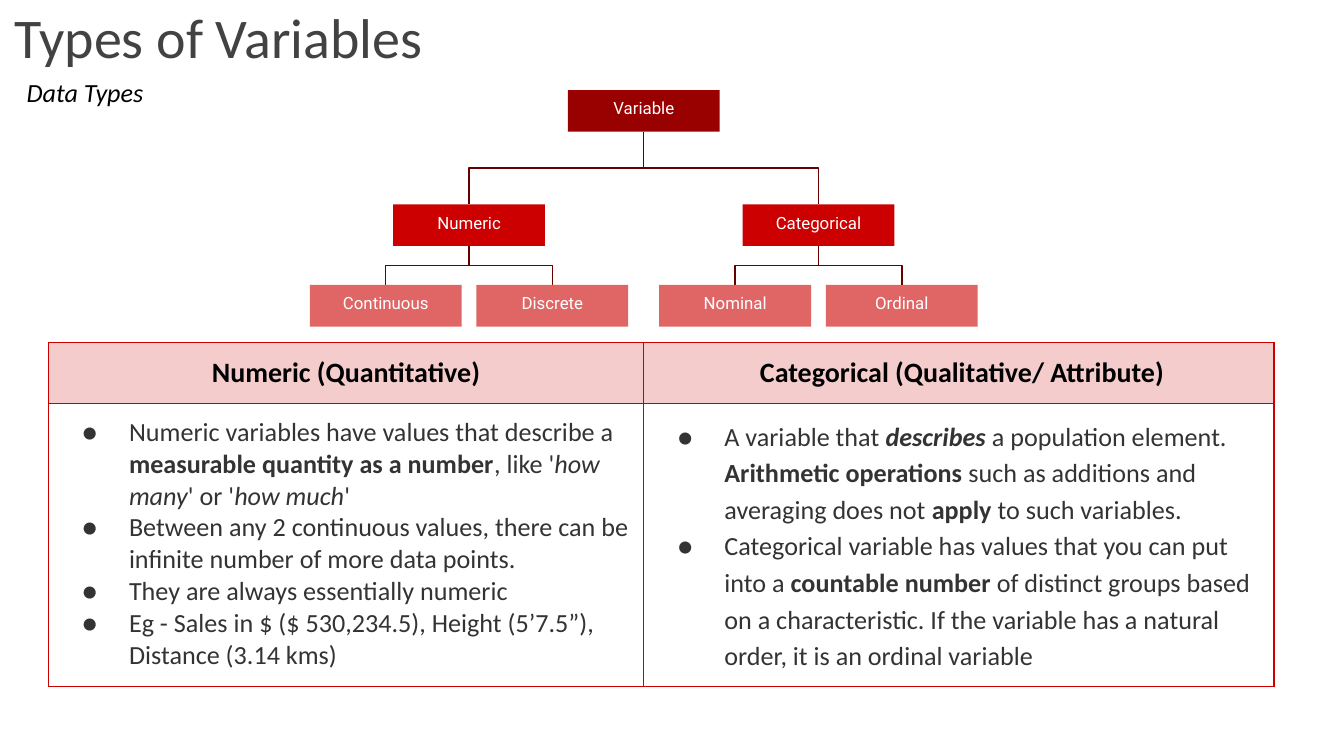
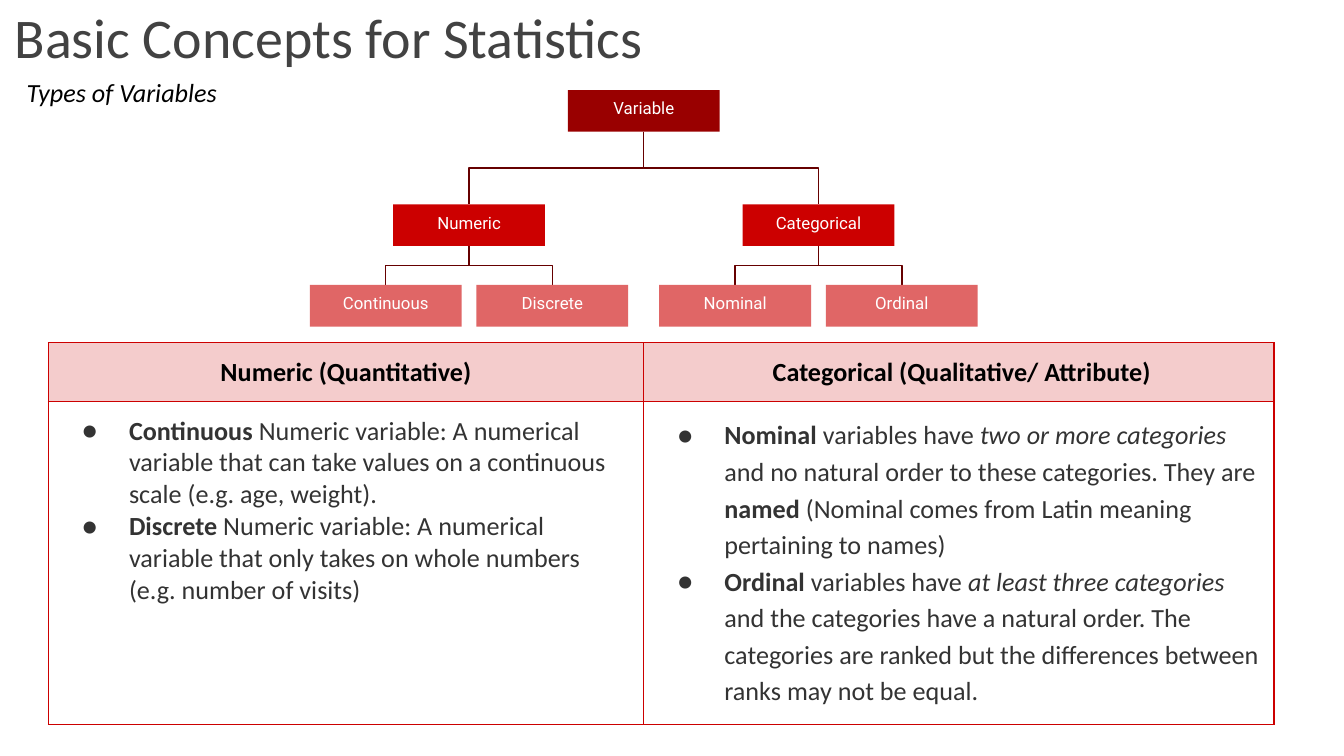
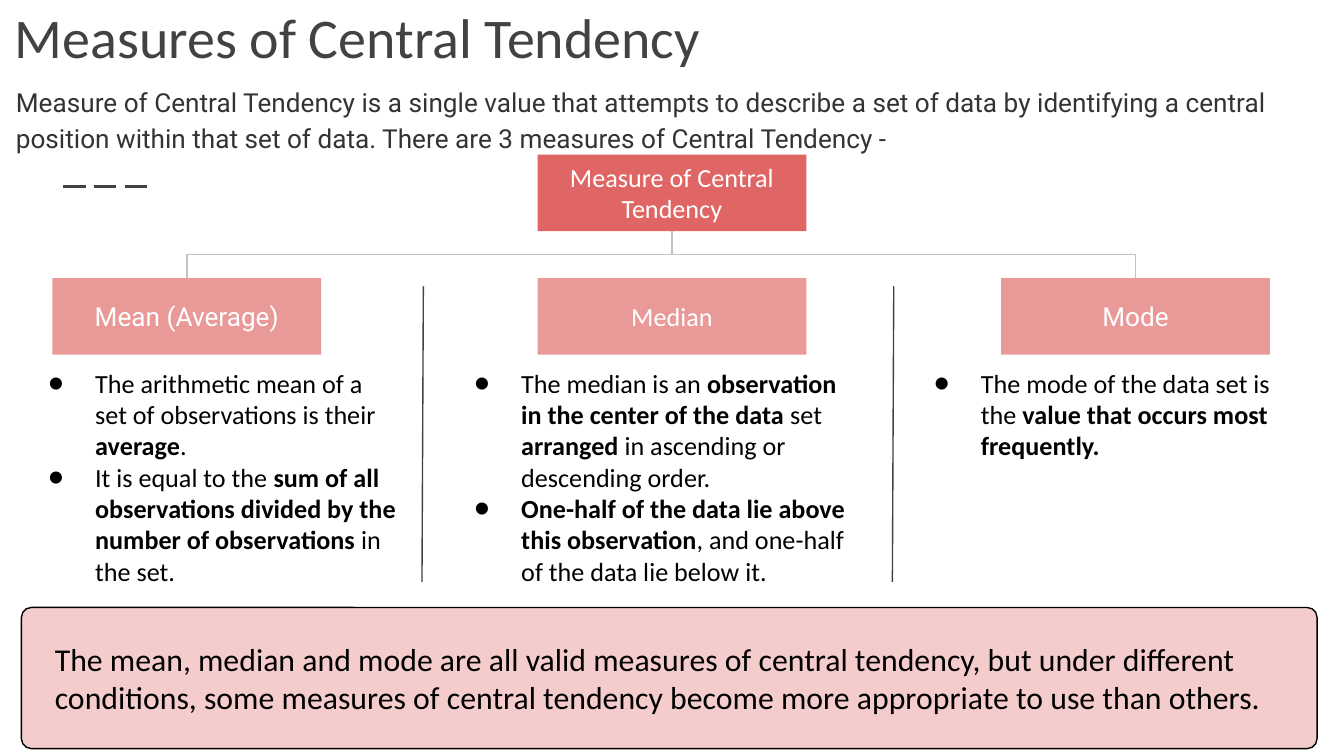
from lxml.etree import SubElement
from pptx import Presentation
from pptx.dml.color import RGBColor
from pptx.enum.dml import MSO_LINE
from pptx.enum.shapes import MSO_CONNECTOR, MSO_SHAPE
from pptx.enum.text import MSO_ANCHOR, MSO_AUTO_SIZE, PP_ALIGN
from pptx.oxml.ns import qn
from pptx.util import Pt

PX = 9144  # 100 px to the inch
PAGE = (1000, 562.5)
INSET = 10
SANS, ALT = "Calibri", "Roboto"
WHITE, BLACK, INK, GREY, SILVER = "FFFFFF", "000000", "333333", "424242", "C2C2C2"
MAROON, DARK, RED, CORAL, ROSE, PINK = (
    "660000", "990000", "CC0000", "E06666", "EA9999", "F4CCCC")

# Runs are (text, style); style holds b for bold and i for italic.
TREE = ("Variable", [("Numeric", ["Continuous", "Discrete"]),
                     ("Categorical", ["Nominal", "Ordinal"])])
HEADS = ["Numeric (Quantitative)", " Categorical (Qualitative/ Attribute)"]

KINDS = [
    {
        "title": "Types of Variables", "sub": "Data Types",
        "size": 15, "rows": (45, 211),
        "cells": [
            [
                [("Numeric variables have values that describe a ", ""),
                 ("measurable quantity as a number", "b"), (", like '", ""),
                 ("how many", "i"), ("' or '", ""), ("how much", "i"), ("'", "")],
                [("Between any 2 continuous values, there can be infinite "
                  "number of more data points.", "")],
                [("They are always essentially numeric", "")],
                [("Eg - Sales in $ ($ 530,234.5), Height (5’7.5”), "
                  "Distance (3.14 kms)", "")],
            ],
            [
                [("A variable that ", ""), ("describes", "bi"),
                 (" a population element. ", ""), ("Arithmetic operations", "b"),
                 (" such as additions and averaging does not ", ""),
                 ("apply", "b"), (" to such variables.", "")],
                [("Categorical variable has values that you can put into a ", ""),
                 ("countable number", "b"),
                 (" of distinct groups based on a characteristic. If the variable "
                  "has a natural order, it is an ordinal variable", "")],
            ],
        ],
    },
    {
        "title": "Basic Concepts for Statistics", "sub": "Types of Variables",
        "size": 14, "rows": (44, 240),
        "cells": [
            [
                [("Continuous", "b"),
                 (" Numeric variable: A numerical variable that can take values "
                  "on a continuous scale (e.g. age, weight).", "")],
                [("Discrete", "b"),
                 (" Numeric variable: A numerical variable that only takes on "
                  "whole numbers (e.g. number of visits)", "")],
            ],
            [
                [("Nominal", "b"), (" variables have ", ""),
                 ("two or more categories", "i"),
                 (" and no natural order to these categories. They are ", ""),
                 ("named ", "b"),
                 ("(Nominal comes from Latin meaning pertaining to names)", "")],
                [("Ordinal", "b"), (" variables have ", ""),
                 ("at least three categories", "i"),
                 (" and the categories have a natural order. The categories are "
                  "ranked but the differences between ranks may not be equal.", "")],
            ],
        ],
    },
]

INTRO = ("Measure of Central Tendency is a single value that attempts to describe "
         "a set of data by identifying a central position within that set of data. "
         "There are 3 measures of Central Tendency -")
NOTE = ("The mean, median and mode are all valid measures of central tendency, but "
        "under different conditions, some measures of central tendency become more "
        "appropriate to use than others.")
# name, font, box left, text left, text width, points
MEASURES = [
    ("Mean (Average)", ALT, 39, 11, 296, [
        [("The arithmetic mean of a set of observations is their ", ""),
         ("average", "b"), (".", "")],
        [("It is equal to the ", ""),
         ("sum of all observations divided by the number of observations", "b"),
         (" in the set.", "")]]),
    ("Median", SANS, 400, 328, 312, [
        [("The median is an ", ""),
         ("observation in the center of the data", "b"), (" set ", ""),
         ("arranged", "b"), (" in ascending or descending order.", "")],
        [("One-half of the data lie above this observation", "b"),
         (", and one-half of the data lie below it.", "")]]),
    ("Mode", ALT, 745, 670, 289, [
        [("The mode of the data set is the ", ""),
         ("value that occurs most frequently.", "b")]]),
]


def px(*sizes):
    return [round(size * PX) for size in sizes]


def rgb(code):
    return RGBColor.from_string(code)


def write(frame, paras, size, color, font=SANS, align=PP_ALIGN.LEFT,
          space=1.0, dots=False):
    for num, runs in enumerate(paras):
        para = frame.paragraphs[0] if num == 0 else frame.add_paragraph()
        if dots:
            bullet(para, color)
        para.alignment = align
        para.line_spacing = space
        for text, style in runs:
            run = para.add_run()
            run.text = text
            face = run.font
            face.name, face.size = font, Pt(size)
            face.bold, face.italic = "b" in style, "i" in style
            face.color.rgb = rgb(color)


def bullet(para, color):
    props = para._p.get_or_add_pPr()
    props.set("marL", str(50 * PX))
    props.set("indent", str(-35 * PX))
    tint = SubElement(props, qn("a:buClr"))
    SubElement(tint, qn("a:srgbClr")).set("val", color)
    SubElement(props, qn("a:buFont")).set("typeface", SANS)
    SubElement(props, qn("a:buChar")).set("char", "●")


def pad(part):
    """Give a text frame or a table cell the shared inner margins."""
    part.margin_left = part.margin_right = INSET * PX
    part.margin_top = part.margin_bottom = INSET * PX


def label(slide, at, paras, size, color, **look):
    frame = slide.shapes.add_textbox(*px(*at)).text_frame
    frame.word_wrap = True
    pad(frame)
    write(frame, paras, size, color, **look)


def block(slide, at, fill, kind=MSO_SHAPE.RECTANGLE):
    shape = slide.shapes.add_shape(kind, *px(*at))
    shape.shadow.inherit = False
    shape.fill.solid()
    shape.fill.fore_color.rgb = rgb(fill)
    shape.line.fill.background()
    return shape


def node(slide, at, fill, text, size, font, anchor):
    frame = block(slide, at, fill).text_frame
    frame.word_wrap = True
    frame.vertical_anchor = anchor
    pad(frame)
    write(frame, [[(text, "")]], size, WHITE, font, PP_ALIGN.CENTER)


def line(slide, ends, color, width=0.75, kind=MSO_CONNECTOR.STRAIGHT):
    link = slide.shapes.add_connector(kind, *px(*ends))
    link.line.color.rgb = rgb(color)
    link.line.width = Pt(width)
    SubElement(link._element.spPr, qn("a:effectLst"))
    return link


def elbow(slide, x1, y1, x2, y2, color):
    """Lead down, across and down from a parent to a child."""
    midx, midy = (x1 + x2) / 2, (y1 + y2) / 2
    tall, wide = (y2 - y1) / 2, abs(x2 - x1) / 2
    side, turn = (1, 270) if x2 > x1 else (-1, 90)
    ends = (midx + side * tall, midy - wide, midx - side * tall, midy + wide)
    link = line(slide, ends, color, kind=MSO_CONNECTOR.ELBOW)
    link._element.spPr.find(qn("a:xfrm")).set("rot", str(turn * 60000))


def start(deck, title):
    slide = deck.slides.add_slide(deck.slide_layouts[5])
    head = slide.shapes.title
    head.left, head.top, head.width, head.height = px(1, -1, 932, 63)
    frame = head.text_frame
    frame.auto_size = MSO_AUTO_SIZE.NONE
    frame.vertical_anchor = MSO_ANCHOR.BOTTOM
    pad(frame)
    write(frame, [[(title, "")]], 30, GREY)
    return slide


def tree(slide):
    wide, high, tops = 113, 31, (67, 152, 212)
    root, kids = TREE
    nodes = [(root, 479, 0, DARK)]
    for side, (name, leaves) in zip((-1, 1), kids):
        mid = 479 + side * 130
        nodes.append((name, mid, 1, RED))
        elbow(slide, 479, tops[0] + high, mid, tops[1], MAROON)
        for turn, leaf in zip((-1, 1), leaves):
            end = mid + turn * 62
            nodes.append((leaf, end, 2, CORAL))
            elbow(slide, mid, tops[1] + high, end, tops[2], MAROON)
    for name, mid, level, fill in nodes:
        at = (mid - wide / 2, tops[level], wide, high)
        node(slide, at, fill, name, 9, ALT, MSO_ANCHOR.BOTTOM)


def edge(cell):
    props = cell._tc.get_or_add_tcPr()
    for num, tag in enumerate(("a:lnL", "a:lnR", "a:lnT", "a:lnB")):
        rule = props.makeelement(qn(tag), {"w": str(Pt(0.75))})
        fill = SubElement(rule, qn("a:solidFill"))
        SubElement(fill, qn("a:srgbClr")).set("val", RED)
        props.insert(num, rule)


def grid(slide, rows, size, cells):
    wide = (443, 469)
    table = slide.shapes.add_table(
        2, 2, *px(36, 255, sum(wide), sum(rows))).table
    table.first_row = table.horz_banding = False
    for num in range(2):
        table.columns[num].width = wide[num] * PX
        table.rows[num].height = rows[num] * PX
        head, body = table.cell(0, num), table.cell(1, num)
        for cell in (head, body):
            pad(cell)
            edge(cell)
        head.fill.solid()
        head.fill.fore_color.rgb = rgb(PINK)
        body.fill.background()
        write(head.text_frame, [[(HEADS[num], "b")]], size, BLACK,
              align=PP_ALIGN.CENTER)
        write(body.text_frame, cells[num], 14, INK,
              space=(1.0, 1.15)[num], dots=True)


def kinds(deck, data):
    slide = start(deck, data["title"])
    label(slide, (10, 43, 230, 49), [[(data["sub"], "i")]], 14, BLACK, space=1.15)
    tree(slide)
    grid(slide, data["rows"], data["size"], data["cells"])


def centre(deck):
    slide = start(deck, "Measures of Central Tendency")
    dash = line(slide, (47, 139, 114, 139), GREY, 1.5)
    dash.line.dash_style = MSO_LINE.LONG_DASH
    panel = block(slide, (16, 452, 964, 105), PINK, MSO_SHAPE.ROUNDED_RECTANGLE)
    panel.adjustments[0] = 0.07
    panel.line.color.rgb = rgb(BLACK)
    panel.line.width = Pt(0.75)
    label(slide, (2, 51, 964, 83), [[(INTRO, "")]], 14, INK, font=ALT, space=1.15)

    wide, high, top, low = 200, 57, 115, 207
    node(slide, (400, top, wide, high), CORAL, "Measure of Central Tendency",
         14, SANS, MSO_ANCHOR.MIDDLE)
    for name, font, left, edge_x, span, points in MEASURES:
        if left != 400:
            elbow(slide, 500, top + high, left + wide / 2, low, SILVER)
        node(slide, (left, low, wide, high), ROSE, name, 14, font,
             MSO_ANCHOR.MIDDLE)
        label(slide, (edge_x, 263, span, 178), points, 14, BLACK, dots=True)
    for x in (315, 665):
        line(slide, (x, 213, x - 1, 433), GREY)
    label(slide, (31, 466, 943, 77), [[(NOTE, "")]], 17, BLACK)


def main():
    deck = Presentation()
    deck.slide_width, deck.slide_height = px(*PAGE)
    for data in KINDS:
        kinds(deck, data)
    centre(deck)
    deck.save("out.pptx")


if __name__ == "__main__":
    main()
